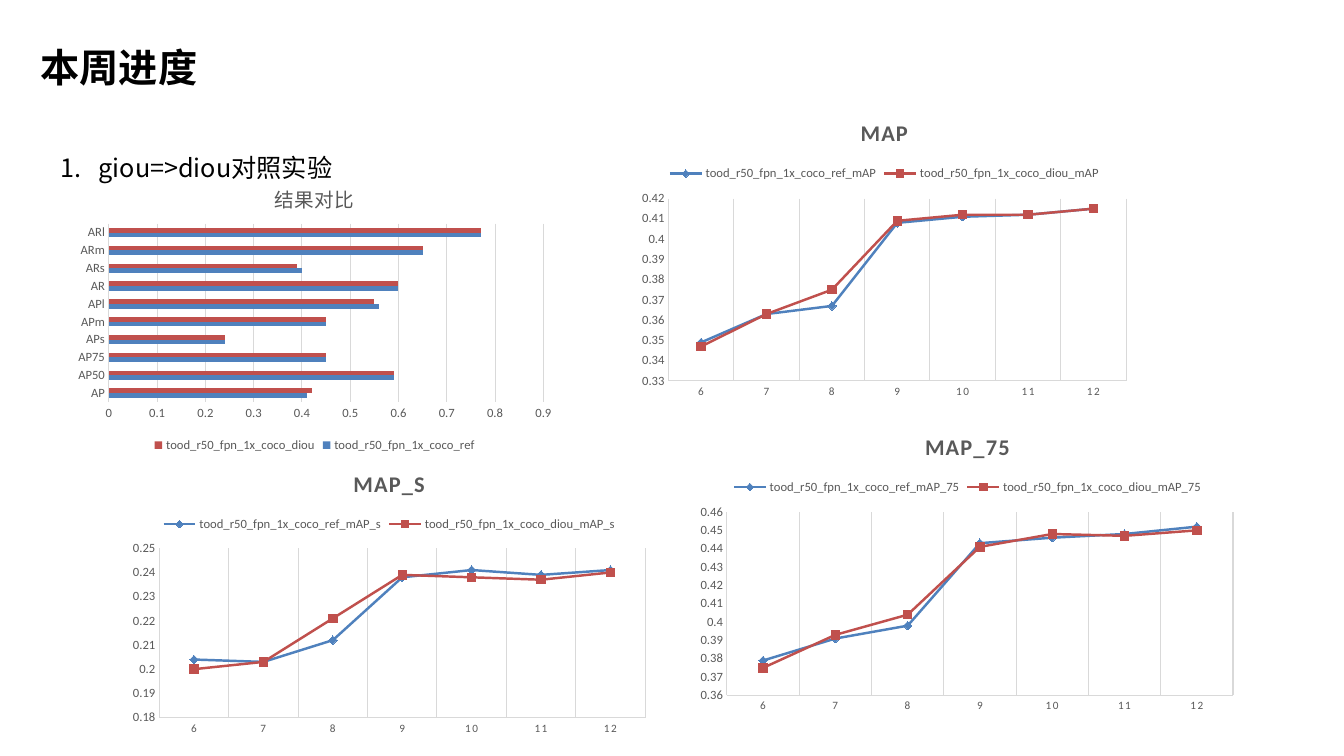
from dataclasses import dataclass
from typing import NamedTuple

from pptx import Presentation
from pptx.chart.axis import CategoryAxis, ValueAxis
from pptx.chart.chart import Chart
from pptx.chart.data import CategoryChartData as ChartData
from pptx.dml.color import RGBColor as RGB
from pptx.enum.chart import XL_CHART_TYPE as Kind
from pptx.enum.chart import XL_LEGEND_POSITION as Side
from pptx.enum.chart import XL_MARKER_STYLE as Mark
from pptx.enum.chart import XL_TICK_MARK as Tick
from pptx.enum.text import PP_ALIGN as Align
from pptx.oxml import parse_xml
from pptx.oxml.ns import nsdecls, qn
from pptx.slide import Slide
from pptx.text.text import Font, _Paragraph as Para
from pptx.util import Emu, Pt


@dataclass(frozen=True)
class Theme:
    ink: str = "000000"
    gray: str = "595959"
    rule: str = "D9D9D9"
    hues: tuple[str, ...] = ("4F81BD", "C0504D")
    marks: tuple[Mark, ...] = (Mark.DIAMOND, Mark.SQUARE)
    face: str = "Noto Sans CJK SC"
    label: str = "Calibri"
    head: int = 28
    body: int = 18
    base: int = 10
    small: int = 9
    tiny: int = 8
    hair: float = 0.75
    line: float = 1.75
    mark: int = 6
    track: int = 100


class Box(NamedTuple):
    x: int
    y: int
    w: int
    h: int


@dataclass(frozen=True)
class Graph:
    title: str
    box: Box
    plot: Box
    names: tuple[str, str]
    vals: tuple[tuple[float, ...], tuple[float, ...]]
    low: float | None = None
    high: float | None = None


THEME = Theme()
UNIT = 9144  # EMU in one px, 100 px to the inch
MODEL = "tood_r50_fpn_1x_coco_"
EPOCHS = tuple(str(n) for n in range(6, 13))
SCORES = ("AP", "AP50", "AP75", "APs", "APm", "APl", "AR", "ARs", "ARm", "ARl")


def pair(tail: str = "") -> tuple[str, str]:
    """Names of the two compared runs."""
    return f"{MODEL}ref{tail}", f"{MODEL}diou{tail}"


RESULT = Graph(
    "结果对比", Box(68, 166, 488, 287), Box(108, 222, 431, 177), pair(),
    ((0.41, 0.59, 0.45, 0.24, 0.45, 0.56, 0.6, 0.4, 0.65, 0.77),
     (0.42, 0.59, 0.45, 0.24, 0.45, 0.55, 0.6, 0.39, 0.65, 0.77)))

CURVES = (
    Graph("MAP", Box(627, 102, 500, 300), Box(663, 197, 454, 181), pair("_mAP"),
          ((0.349, 0.363, 0.367, 0.408, 0.411, 0.412, 0.415),
           (0.347, 0.363, 0.375, 0.409, 0.412, 0.412, 0.415)), 0.33, 0.42),
    Graph("MAP_75", Box(684, 413, 551, 300), Box(721, 508, 502, 182), pair("_mAP_75"),
          ((0.379, 0.391, 0.398, 0.443, 0.446, 0.448, 0.452),
           (0.375, 0.393, 0.404, 0.441, 0.448, 0.447, 0.45)), 0.36),
    Graph("MAP_S", Box(122, 450, 528, 285), Box(158, 544, 482, 168), pair("_mAP_s"),
          ((0.204, 0.203, 0.212, 0.238, 0.241, 0.239, 0.241),
           (0.2, 0.203, 0.221, 0.239, 0.238, 0.237, 0.24)), 0.18),
)


def px(n: int) -> Emu:
    return Emu(n * UNIT)


def style(font: Font, size: int, hue: str, face: str, bold: bool = False) -> None:
    font.size, font.name, font.bold = Pt(size), face, bold
    font.color.rgb = RGB.from_string(hue)


def add_text(slide: Slide, box: Box, text: str, size: int, bold: bool = False) -> Para:
    frame = slide.shapes.add_textbox(*map(px, box)).text_frame
    frame.word_wrap = True
    para = frame.paragraphs[0]
    para.line_spacing = 1.5
    run = para.add_run()
    run.text = text
    style(run.font, size, THEME.ink, THEME.face, bold)
    east = parse_xml(f'<a:ea {nsdecls("a")} typeface="{THEME.face}"/>')
    run._r.get_or_add_rPr().append(east)
    return para


def number(para: Para) -> None:
    """Turn the paragraph into a numbered item with a hanging indent."""
    props = para._p.get_or_add_pPr()
    props.set("marL", str(px(38)))
    props.set("indent", str(px(-38)))
    props.append(parse_xml(f'<a:buFont {nsdecls("a")} typeface="+mj-lt"/>'))
    props.append(parse_xml(f'<a:buAutoNum {nsdecls("a")} type="arabicPeriod"/>'))


def place(chart: Chart, box: Box, plot: Box) -> None:
    """Fix the inner plot area inside the chart frame."""
    parts = {"x": (plot.x - box.x) / box.w, "y": (plot.y - box.y) / box.h,
             "w": plot.w / box.w, "h": plot.h / box.h}
    rows = "".join(f'<c:{k}Mode val="edge"/>' for k in "xy")
    rows += "".join(f'<c:{k} val="{v:.4f}"/>' for k, v in parts.items())
    area = chart._chartSpace.chart.plotArea
    for old in area.findall(qn("c:layout")):
        area.remove(old)
    area.insert(0, parse_xml(
        f'<c:layout {nsdecls("c")}><c:manualLayout><c:layoutTarget val="inner"/>'
        f'{rows}</c:manualLayout></c:layout>'))


def set_axis(axis: CategoryAxis | ValueAxis, size: int, grid: bool, line: bool) -> None:
    axis.major_tick_mark = axis.minor_tick_mark = Tick.NONE
    style(axis.tick_labels.font, size, THEME.gray, THEME.label)
    axis.has_major_gridlines = grid
    lines = [axis.major_gridlines.format.line] if grid else []
    if line:
        lines.append(axis.format.line)
    else:
        axis.format.line.fill.background()
    for item in lines:
        item.color.rgb = RGB.from_string(THEME.rule)
        item.width = Pt(THEME.hair)


def set_title(chart: Chart, text: str, size: int, bold: bool) -> None:
    chart.has_title = True
    chart.chart_title.include_in_layout = False
    run = chart.chart_title.text_frame.paragraphs[0].add_run()
    run.text = text
    style(run.font, size, THEME.gray, THEME.label, bold)
    if bold:
        run._r.get_or_add_rPr().set("spc", str(THEME.track))


def add_graph(slide: Slide, graph: Graph, kind: Kind, cats: tuple[str, ...],
              side: Side) -> Chart:
    data = ChartData()
    data.categories = cats
    for name, vals in zip(graph.names, graph.vals):
        data.add_series(name, vals)
    chart = slide.shapes.add_chart(kind, *map(px, graph.box), data).chart
    style(chart.font, THEME.base, THEME.ink, THEME.label)
    chart.has_legend = True
    chart.legend.position = side
    chart.legend.include_in_layout = False
    style(chart.legend.font, THEME.small, THEME.gray, THEME.label)
    chart.plots[0].vary_by_categories = False
    place(chart, graph.box, graph.plot)
    return chart


def add_bars(slide: Slide, graph: Graph) -> None:
    chart = add_graph(slide, graph, Kind.BAR_CLUSTERED, SCORES, Side.BOTTOM)
    set_title(chart, graph.title, 14, False)
    set_axis(chart.category_axis, THEME.small, grid=False, line=True)
    set_axis(chart.value_axis, THEME.small, grid=True, line=False)
    chart.plots[0].gap_width = 182
    for item, hue in zip(chart.plots[0].series, THEME.hues):
        item.format.fill.solid()
        item.format.fill.fore_color.rgb = RGB.from_string(hue)


def add_curve(slide: Slide, graph: Graph) -> None:
    chart = add_graph(slide, graph, Kind.LINE_MARKERS, EPOCHS, Side.TOP)
    set_title(chart, graph.title, 16, True)
    set_axis(chart.category_axis, THEME.tiny, grid=True, line=True)
    set_axis(chart.value_axis, THEME.small, grid=False, line=True)
    for props in chart.category_axis._element.xpath("c:txPr//a:defRPr"):
        props.set("spc", str(THEME.track))
    chart.value_axis.minimum_scale = graph.low
    chart.value_axis.maximum_scale = graph.high
    for item, hue, mark in zip(chart.plots[0].series, THEME.hues, THEME.marks):
        color = RGB.from_string(hue)
        item.smooth = False
        item.format.line.width = Pt(THEME.line)
        item.marker.style, item.marker.size = mark, THEME.mark
        item.marker.format.fill.solid()
        item.marker.format.fill.fore_color.rgb = color
        for line in (item.format.line, item.marker.format.line):
            line.color.rgb = color


def main() -> None:
    deck = Presentation()
    deck.slide_width, deck.slide_height = px(1333), px(750)
    slide = deck.slides.add_slide(deck.slide_layouts[6])
    head = add_text(slide, Box(29, 15, 178, 72), "本周进度", THEME.head, bold=True)
    head.alignment = Align.CENTER
    number(add_text(slide, Box(50, 131, 1233, 97), "giou=>diou对照实验", THEME.body))
    add_bars(slide, RESULT)
    for graph in CURVES:
        add_curve(slide, graph)
    deck.save("out.pptx")


if __name__ == "__main__":
    main()
